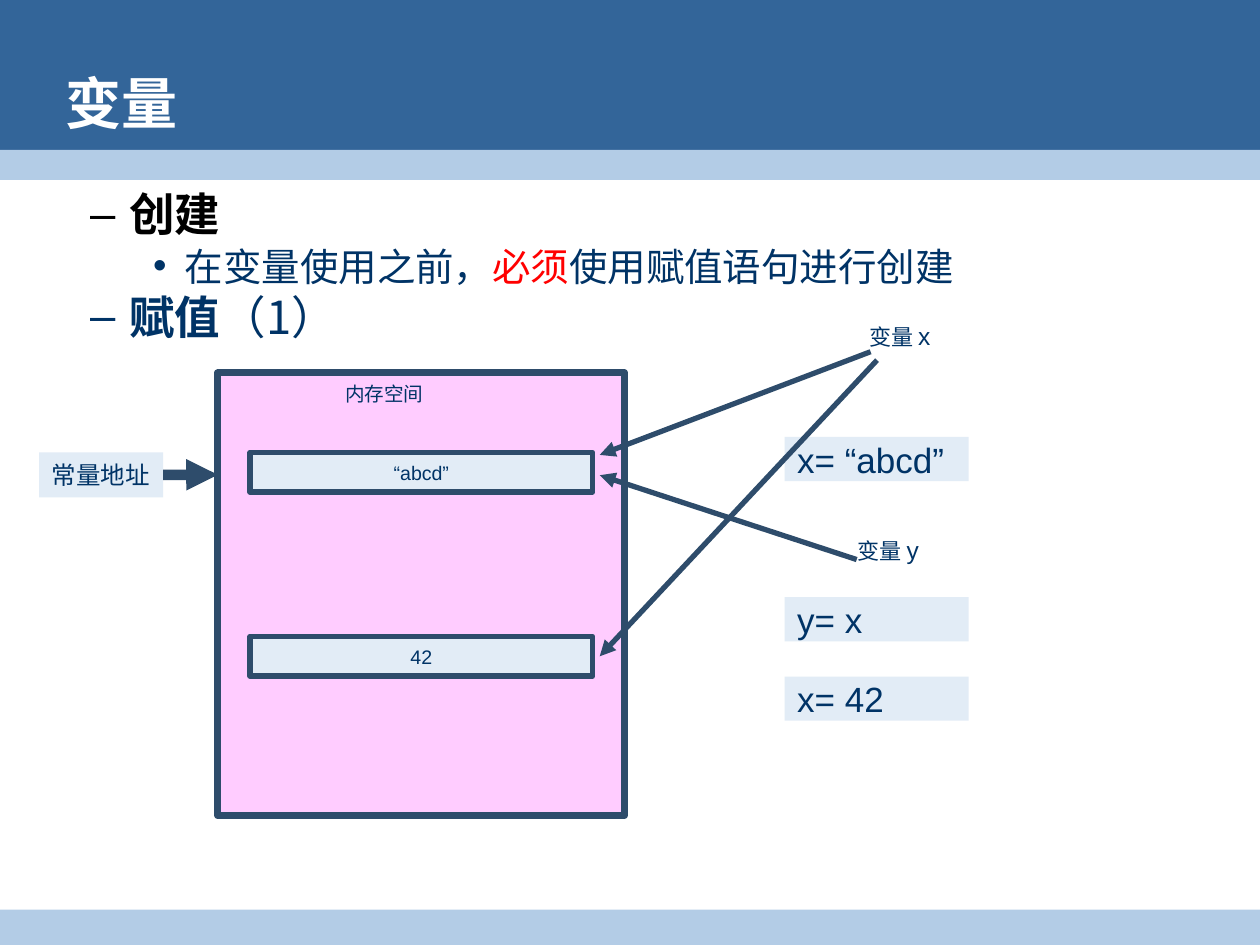
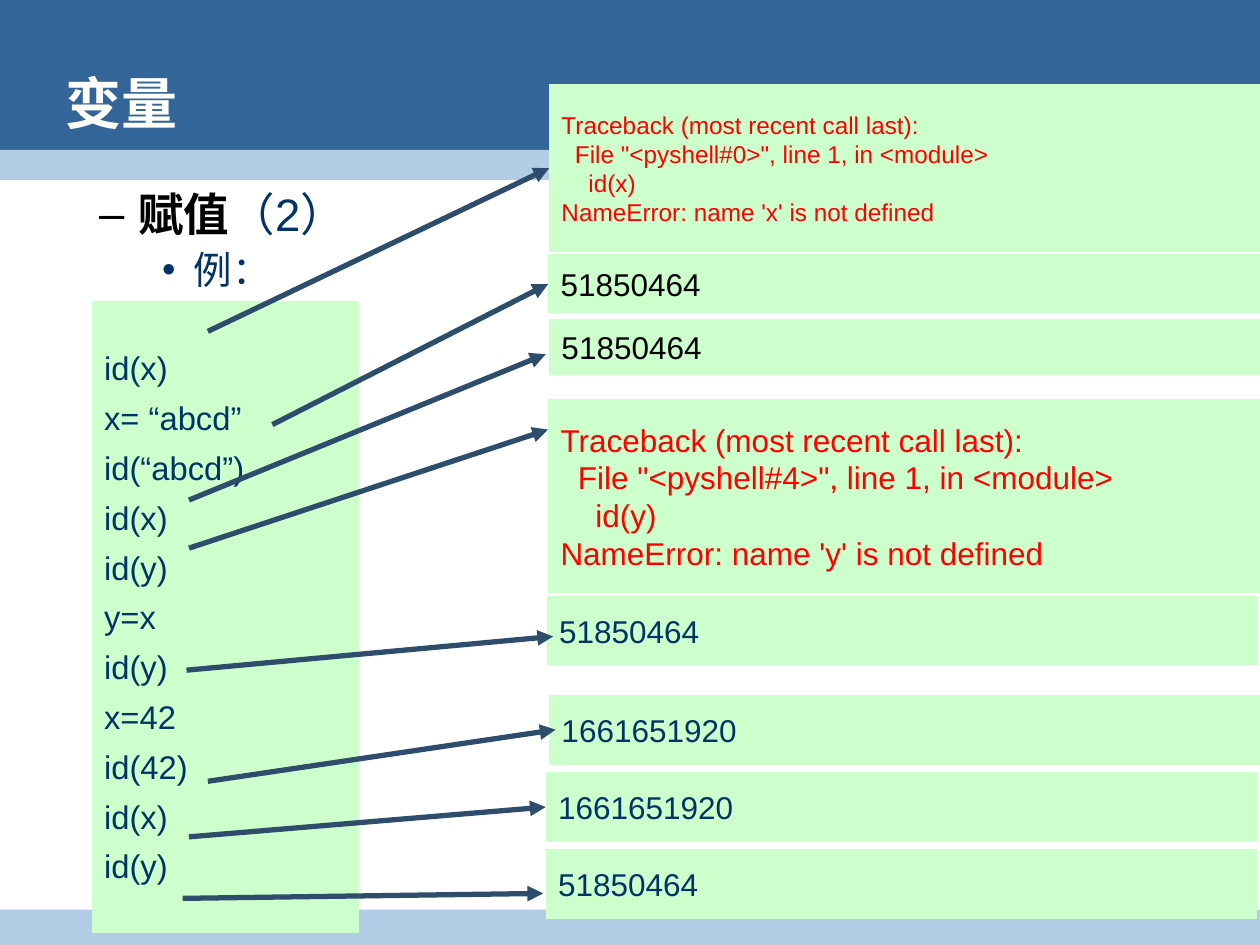
"""Build two slides on creating and assigning variables."""
from lxml import etree
from pptx import Presentation
from pptx.dml.color import RGBColor
from pptx.enum.shapes import MSO_CONNECTOR, MSO_SHAPE
from pptx.enum.text import MSO_ANCHOR, PP_ALIGN
from pptx.oxml.ns import qn
from pptx.util import Cm, Pt

RECT = MSO_SHAPE.RECTANGLE
PROCESS = MSO_SHAPE.FLOWCHART_PROCESS
STRAIGHT = MSO_CONNECTOR.STRAIGHT
TOP, MIDDLE = MSO_ANCHOR.TOP, MSO_ANCHOR.MIDDLE
LEFT, CENTER = PP_ALIGN.LEFT, PP_ALIGN.CENTER
LEFT_SIDE, RIGHT_SIDE = 1, 3

DEEP_BLUE, PALE_BLUE, ICE = "336599", "B3CCE6", "E2ECF6"
NAVY, SLATE, RED, BLACK, WHITE = "003366", "2E4C6B", "FF0000", "000000", "FFFFFF"
PINK, MINT = "FFCCFF", "CCFFCC"
ARIAL, CJK, MONO = "Arial", "Noto Sans CJK SC", "Noto Sans Mono"
rgb = RGBColor.from_string


def box(slide, at, paragraphs=(), fill=None, border=0, form=None, align=LEFT, anchor=MIDDLE,
        spacing=None, after=None):
    lengths = [Cm(value) for value in at]
    if form is None:
        shape = slide.shapes.add_textbox(*lengths)
    else:
        shape = slide.shapes.add_shape(form, *lengths)
        shape.shadow.inherit = False
    if fill:
        shape.fill.solid()
        shape.fill.fore_color.rgb = rgb(fill)
    else:
        shape.fill.background()
    if border:
        shape.line.color.rgb = rgb(SLATE)
        shape.line.width = Pt(border)
    else:
        shape.line.fill.background()
    frame = shape.text_frame
    frame.word_wrap = True
    frame.vertical_anchor = anchor
    for number, runs in enumerate(paragraphs):
        paragraph = frame.add_paragraph() if number else frame.paragraphs[0]
        paragraph.alignment = align
        paragraph.line_spacing = spacing
        paragraph.space_after = after
        for text, size, color, font, bold in runs:
            run = paragraph.add_run()
            run.text = text
            run.font.size = Pt(size)
            run.font.bold = bold
            run.font.color.rgb = rgb(color)
            run.font.name = font
            etree.SubElement(run.font._element, qn("a:ea")).set("typeface", font)
    return shape


def arrow(slide, start, end, width=3, source=None, target=None):
    line = slide.shapes.add_connector(STRAIGHT, *[Cm(value) for value in start + end])
    line.line.color.rgb = rgb(SLATE)
    line.line.width = Pt(width)
    etree.SubElement(line.line._ln, qn("a:tailEnd")).set("type", "triangle")
    etree.SubElement(line._element.spPr, qn("a:effectLst"))
    if source is not None:
        line.begin_connect(source, RIGHT_SIDE)
    if target is not None:
        line.end_connect(target, LEFT_SIDE)


deck = Presentation()
deck.slide_width, deck.slide_height = Cm(25.4), Cm(19.05)

bands = [(0, 3.33, DEEP_BLUE), (3.02, 0.61, PALE_BLUE), (18.34, 0.71, PALE_BLUE)]
levels = {"–": (2.06, -0.79), "•": (3.18, -0.64)}
outlines = [
    (0.3, [
        ("–", 0, BLACK, [("创建", 26, BLACK, ARIAL, True)]),
        ("•", 1, NAVY, [("在变量使用之前，", 22, NAVY, CJK, False),
                        ("必须", 22, RED, CJK, False),
                        ("使用赋值语句进行创建", 22, NAVY, CJK, False)]),
        ("–", 0, NAVY, [("赋值", 26, NAVY, CJK, True), ("（1）", 26, NAVY, CJK, False)]),
    ]),
    (0.48, [
        ("–", 0, BLACK, [("赋值", 26, BLACK, ARIAL, True), ("（2）", 26, NAVY, ARIAL, False)]),
        ("•", 3, NAVY, [("例：", 22, NAVY, MONO, False)]),
    ]),
]

for outline_left, points in outlines:
    slide = deck.slides.add_slide(deck.slide_layouts[6])
    for top, height, color in bands:
        box(slide, (0, top, 25.4, height), fill=color, form=RECT)
    box(slide, (1.07, 1.32, 23.01, 1.47), [[("变量", 32, WHITE, ARIAL, True)]])
    outline = box(slide, (outline_left, 3.63, 24.85, 14.81), [point[3] for point in points],
                  anchor=TOP)
    for paragraph, (mark, before, color, _) in zip(outline.text_frame.paragraphs, points):
        if before:
            paragraph.space_before = Pt(before)
        margin, indent = levels[mark]
        properties = paragraph._p.get_or_add_pPr()
        properties.set("marL", str(Cm(margin)))
        properties.set("indent", str(Cm(indent)))
        bullet_color = etree.SubElement(properties, qn("a:buClr"))
        etree.SubElement(bullet_color, qn("a:srgbClr")).set("val", color)
        etree.SubElement(properties, qn("a:buFont")).set("typeface", ARIAL)
        etree.SubElement(properties, qn("a:buChar")).set("char", mark)

assignment, example = deck.slides

box(assignment, (4.39, 7.52, 8.2, 8.92), fill=PINK, border=4, form=RECT)
box(assignment, (6.71, 7.59, 3.15, 0.79), [[("内存空间", 11.2, NAVY, CJK, False)]],
    form=PROCESS, spacing=0.8)
for value, top in [("“abcd”", 9.12), ("42", 12.83)]:
    box(assignment, (5.04, top, 6.91, 0.8), [[(value, 11.2, NAVY, ARIAL, False)]],
        ICE, 3, PROCESS, CENTER)
address = box(assignment, (0.79, 9.12, 2.5, 0.91), [[("常量地址", 14, NAVY, ARIAL, False)]],
              ICE, form=RECT)
arrow(assignment, (3.29, 9.57), (4.39, 9.57), 6, source=address)
for statement, top in [("x= “abcd”", 8.81), ("y= x", 12.04), ("x= 42", 13.64)]:
    box(assignment, (15.82, top, 3.71, 0.89), [[(statement, 20, NAVY, ARIAL, False)]],
        ICE, form=RECT)
for variable, left, top in [("x", 17.27, 6.38), ("y", 17.04, 10.69)]:
    box(assignment, (left, top, 2.49, 0.89),
        [[("变量 ", 12.6, NAVY, CJK, False), (variable, 14, NAVY, ARIAL, False)]], spacing=0.8)
for start, value_y in [((17.55, 7.09), 9.17), ((17.27, 11.28), 9.58), ((17.68, 7.26), 13.23)]:
    arrow(assignment, start, (12.09, value_y))

code = ["id(x)", "x= “abcd”", "id(“abcd”)", "id(x)", "id(y)", "y=x", "id(y)", "x=42",
        "id(42)", "id(x)", "id(y)"]
box(example, (1.85, 6.07, 5.38, 12.73), [[(line, 18.7, NAVY, ARIAL, False)] for line in code],
    MINT, form=PROCESS, after=Pt(6))

x_error = ["Traceback (most recent call last):", '  File "<pyshell#0>", line 1, in <module>',
           "    id(x)", "NameError: name 'x' is not defined"]
y_error = [line.replace("#0", "#4").replace("(x)", "(y)").replace("'x'", "'y'")
           for line in x_error]
outputs = [
    (11.07, 1.7, 3.38, x_error, 13.9, RED, (4.19, 6.68), None),
    (11.05, 5.13, 1.19, ["51850464"], 18, BLACK, (5.49, 8.56), None),
    (11.07, 6.43, 1.14, ["51850464"], 18, BLACK, (3.81, 10.08), (11, 7.14)),
    (11.05, 8.05, 3.91, y_error, 18, RED, (3.81, 11.05), (11.05, 8.66)),
    (11.02, 12.01, 1.4, ["51850464"], 18, NAVY, (3.76, 13.51), (11.15, 12.83)),
    (11.07, 14.02, 1.4, ["1661651920"], 18, NAVY, (4.19, 15.75), (11.2, 14.71)),
    (11, 15.57, 1.4, ["1661651920"], 18, NAVY, (3.81, 16.87), None),
    (11, 17.12, 1.4, ["51850464"], 18, NAVY, (3.68, 18.11), (10.95, 18.01)),
]
results = [box(example, (left, top, 14.35, height),
               [[(line, size, color, ARIAL, False)] for line in lines], MINT, form=PROCESS)
           for left, top, height, lines, size, color, _, _ in outputs]
for result, (left, top, height, _, _, _, start, end) in zip(results, outputs):
    if end:
        arrow(example, start, end)
    else:
        arrow(example, start, (left, top + height / 2), target=result)

deck.save("out.pptx")
